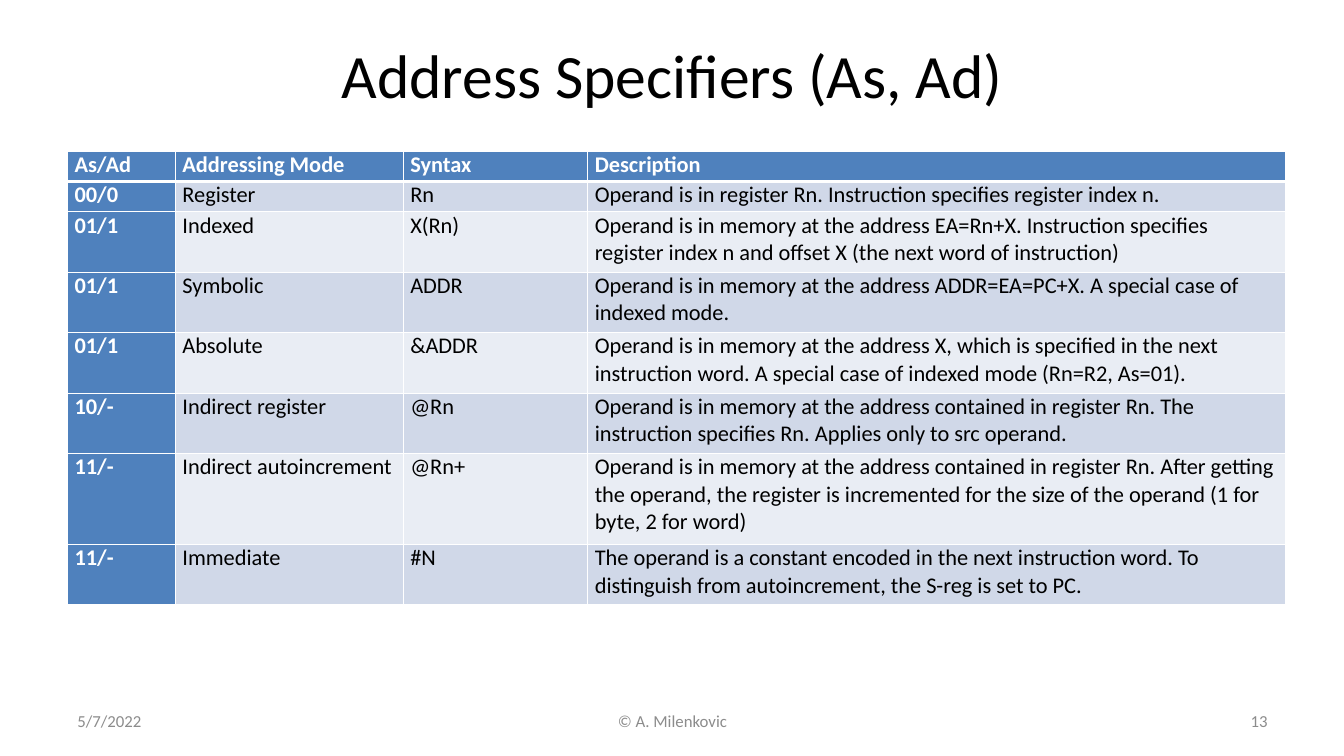
"""Build the slide that lists the address specifiers and their addressing modes."""
from dataclasses import dataclass

from lxml import etree
from pptx import Presentation
from pptx import util as u
from pptx.dml.color import RGBColor
from pptx.enum import text
from pptx.oxml import ns
from pptx.slide import Slide
from pptx.table import _Cell
from pptx.text.text import TextFrame

EMU_PER_PX = 9144


@dataclass(frozen=True)
class Theme:
    font: str = "Calibri"
    ink: str = "000000"
    paper: str = "FFFFFF"
    accent: str = "4F81BD"
    bands: tuple[str, str] = ("D0D8E8", "E9EDF4")
    muted: str = "8C8C8C"
    title_size: int = 44
    table_size: int = 16
    footer_size: int = 12
    rule: int = 1
    header_rule: int = 3


@dataclass(frozen=True)
class Mode:
    specifier: str
    name: str
    syntax: str
    description: str
    height: int = 60

    def texts(self) -> tuple[str, str, str, str]:
        return self.specifier, self.name, self.syntax, self.description


@dataclass(frozen=True)
class FooterPart:
    wording: str
    left: int
    width: int
    align: text.PP_ALIGN


THEME = Theme()
COLUMN_WIDTHS = (107, 226, 183, 692)
MODES = (
    Mode("As/Ad", "Addressing Mode", "Syntax", "Description", 30),
    Mode("00/0", "Register", "Rn",
         "Operand is in register Rn. Instruction specifies register index n.", 30),
    Mode("01/1", "Indexed", "X(Rn)",
         "Operand is in memory at the address EA=Rn+X. Instruction specifies "
         "register index n and offset X (the next word of instruction)"),
    Mode("01/1", "Symbolic", "ADDR",
         "Operand is in memory at the address ADDR=EA=PC+X. A special case of "
         "indexed mode."),
    Mode("01/1", "Absolute", "&ADDR",
         "Operand is in memory at the address X, which is specified in the next "
         "instruction word. A special case of indexed mode (Rn=R2, As=01)."),
    Mode("10/-", "Indirect register", "@Rn",
         "Operand is in memory at the address contained in register Rn. The "
         "instruction specifies Rn. Applies only to src operand."),
    Mode("11/-", "Indirect autoincrement", "@Rn+",
         "Operand is in memory at the address contained in register Rn. After "
         "getting the operand, the register is incremented for the size of the "
         "operand (1 for byte, 2 for word)", 90),
    Mode("11/-", "Immediate", "#N",
         "The operand is a constant encoded in the next instruction word. To "
         "distinguish from autoincrement, the S-reg is set to PC."),
)
FOOTER = (
    FooterPart("5/7/2022", 67, 311, text.PP_ALIGN.LEFT),
    FooterPart("© A. Milenkovic", 456, 422, text.PP_ALIGN.CENTER),
    FooterPart("13", 956, 311, text.PP_ALIGN.RIGHT),
)


def px(length: int) -> u.Emu:
    return u.Emu(length * EMU_PER_PX)


def write(frame: TextFrame, wording: str, *, size: int, color: str,
          bold: bool = False, align: text.PP_ALIGN = text.PP_ALIGN.LEFT,
          before: int = 0) -> None:
    paragraph = frame.paragraphs[0]
    paragraph.alignment = align
    paragraph.space_before = u.Pt(before)
    run = paragraph.add_run()
    run.text = wording
    run.font.name = THEME.font
    run.font.size = u.Pt(size)
    run.font.bold = bold
    run.font.color.rgb = RGBColor.from_string(color)


def set_borders(cell: _Cell, top: int, bottom: int) -> None:
    properties = cell._tc.get_or_add_tcPr()
    widths = {"a:lnL": THEME.rule, "a:lnR": THEME.rule, "a:lnT": top, "a:lnB": bottom}
    for position, (tag, width) in enumerate(widths.items()):
        line = etree.Element(ns.qn(tag), w=str(u.Pt(width)))
        fill = etree.SubElement(line, ns.qn("a:solidFill"))
        etree.SubElement(fill, ns.qn("a:srgbClr"), val=THEME.paper)
        properties.insert(position, line)


def add_title(slide: Slide, wording: str) -> None:
    title = slide.shapes.title
    title.left, title.top, title.width, title.height = map(px, (67, 30, 1200, 87))
    title.text_frame.vertical_anchor = text.MSO_ANCHOR.MIDDLE
    write(title.text_frame, wording, size=THEME.title_size, color=THEME.ink,
          align=text.PP_ALIGN.CENTER)


def add_modes(slide: Slide) -> None:
    height = sum(mode.height for mode in MODES)
    modes = slide.shapes.add_table(len(MODES), len(COLUMN_WIDTHS), px(67), px(150),
                                   px(sum(COLUMN_WIDTHS)), px(height)).table
    modes.first_col = True
    for column, width in zip(modes.columns, COLUMN_WIDTHS):
        column.width = px(width)
    for row_index, (row, mode) in enumerate(zip(modes.rows, MODES)):
        row.height = px(mode.height)
        top = THEME.header_rule if row_index == 1 else THEME.rule
        bottom = THEME.header_rule if row_index == 0 else THEME.rule
        for column_index, (cell, wording) in enumerate(zip(row.cells, mode.texts())):
            heading = row_index == 0 or column_index == 0
            fill = THEME.accent if heading else THEME.bands[(row_index - 1) % 2]
            cell.fill.solid()
            cell.fill.fore_color.rgb = RGBColor.from_string(fill)
            cell.margin_left = cell.margin_right = px(7)
            cell.margin_top = cell.margin_bottom = 0
            set_borders(cell, top, bottom)
            write(cell.text_frame, wording, size=THEME.table_size, bold=heading,
                  color=THEME.paper if heading else THEME.ink, before=3)


def add_footer(slide: Slide, part: FooterPart) -> None:
    frame = slide.shapes.add_textbox(px(part.left), px(695), px(part.width),
                                     px(40)).text_frame
    frame.word_wrap = True
    frame.vertical_anchor = text.MSO_ANCHOR.MIDDLE
    write(frame, part.wording, size=THEME.footer_size, color=THEME.muted,
          align=part.align)


def main() -> None:
    deck = Presentation()
    deck.slide_width, deck.slide_height = px(1333), px(750)
    slide = deck.slides.add_slide(deck.slide_layouts.get_by_name("Title Only"))
    add_title(slide, "Address Specifiers (As, Ad)")
    add_modes(slide)
    for part in FOOTER:
        add_footer(slide, part)
    deck.save("out.pptx")


if __name__ == "__main__":
    main()
